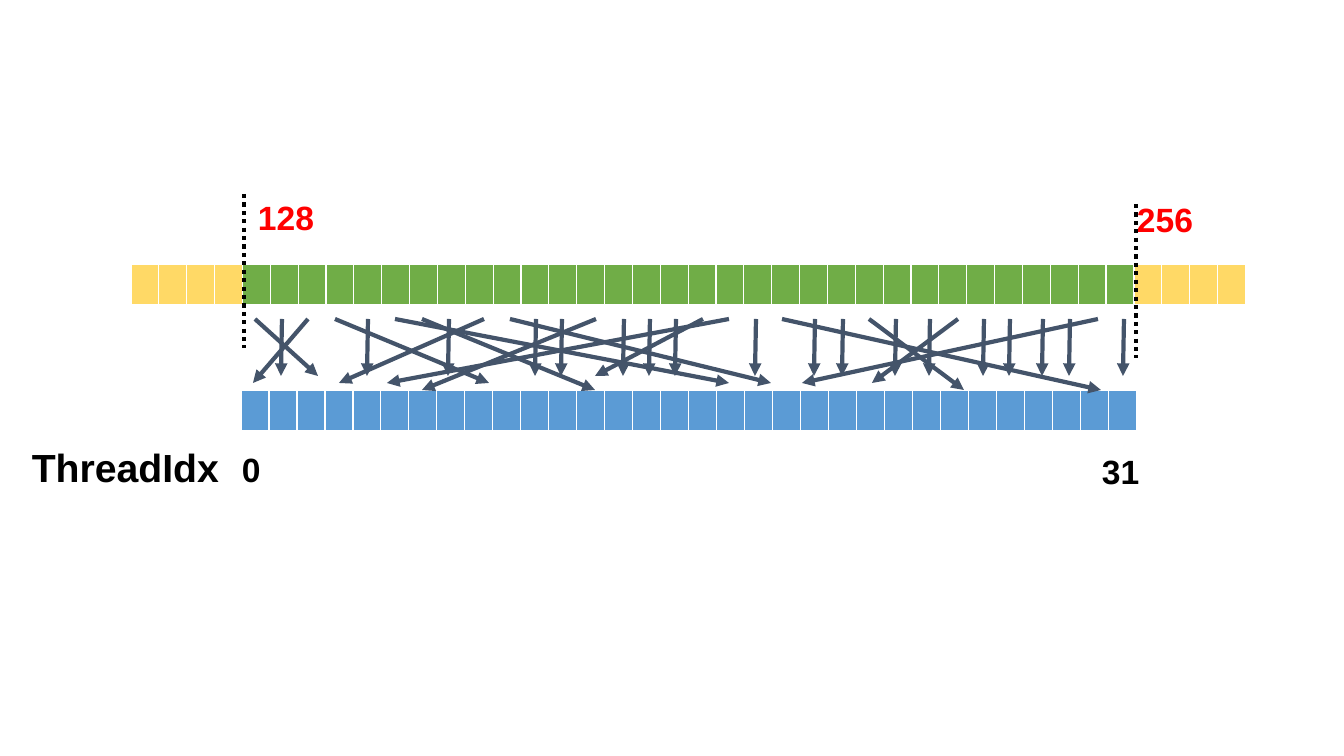
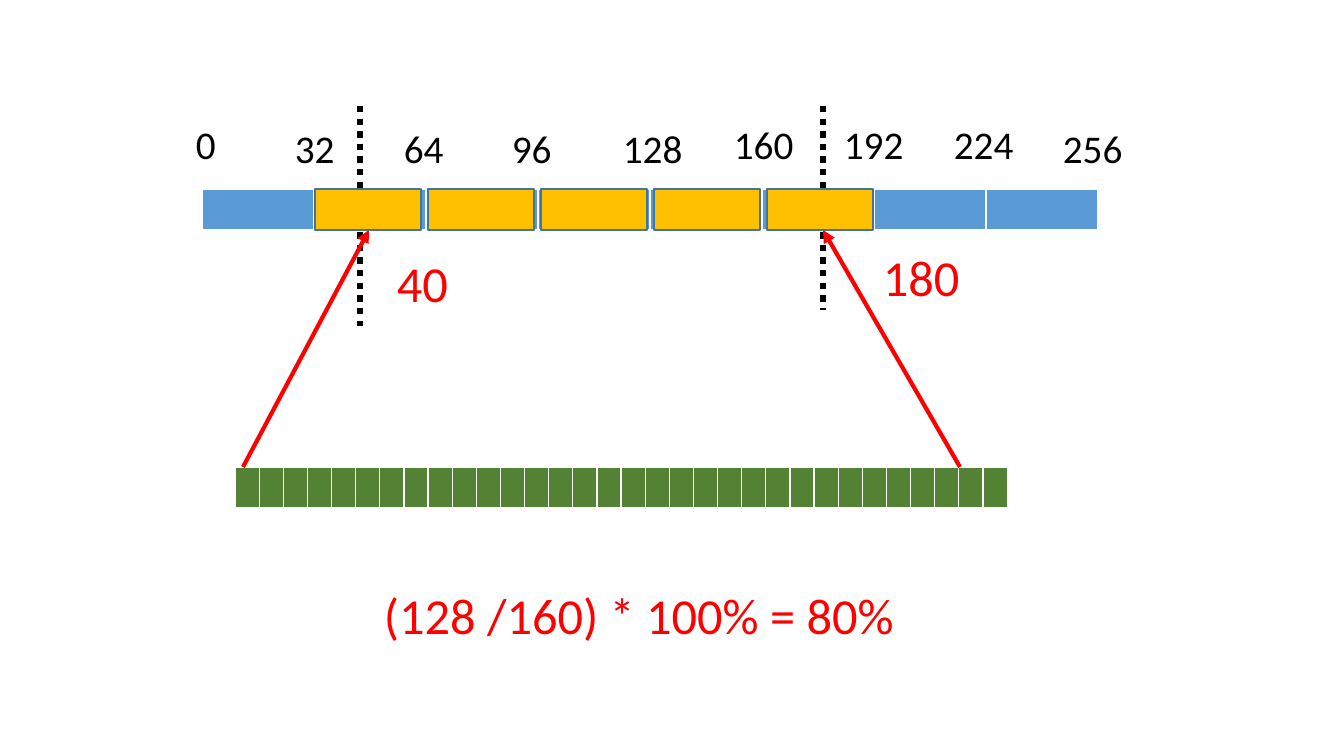
from dataclasses import dataclass

from lxml.etree import SubElement
from pptx import Presentation
from pptx.dml.color import RGBColor
from pptx.enum.dml import MSO_LINE_DASH_STYLE as Dash
from pptx.enum.shapes import MSO_CONNECTOR as Connector, MSO_SHAPE as Preset
from pptx.oxml.ns import qn
from pptx.slide import Slide
from pptx.util import Pt

EMU_PER_PX = 914400 / 100.8
STRIP_HEIGHT = 41

BLACK, RED, SLATE = "000000", "FF0000", "44546A"
BLUE, GREEN, DARK_GREEN = "5B9BD5", "70AD47", "548235"
YELLOW, AMBER, OUTLINE = "FFD966", "FFC000", "43739E"

ARROW_STARTS = [
    14, 41, 67, 94, 127, 154, 181, 208, 243, 269, 295, 321, 355, 383, 409, 435,
    462, 488, 515, 541, 574, 602, 628, 655, 689, 717, 743, 769, 802, 829, 857, 883,
]
# Arrow index -> tip; every other arrow points straight down.
CROSSING_TIPS = {
    0: (77, 57), 2: (12, 64), 3: (248, 64), 5: (488, 64), 6: (354, 71),
    8: (98, 64), 9: (530, 64), 12: (181, 71), 16: (354, 57), 17: (146, 64),
    19: (860, 71), 22: (723, 71), 25: (631, 64), 30: (561, 64),
}
ADDRESS_LABELS = [
    (-16, -74), (83, -70), (192, -70), (300, -70), (411, -70),
    (522, -74), (632, -74), (742, -74), (851, -70),
]


def px(length):
    return round(length * EMU_PER_PX)


def color(hex_string):
    return RGBColor.from_string(hex_string)


@dataclass
class Region:
    """Part of a slide; all positions are px from its top left corner."""

    slide: Slide
    left: int
    top: int

    def place(self, x, y):
        return px(self.left + x), px(self.top + y)

    def strip(self, width, fills):
        """Draw a one-row table with a cell for each fill."""
        table = self.slide.shapes.add_table(
            1, len(fills), *self.place(0, 0), px(width), px(STRIP_HEIGHT)
        ).table
        for column, cell, fill in zip(table.columns, table.rows[0].cells, fills):
            column.width = px(width / len(fills))
            cell.fill.solid()
            cell.fill.fore_color.rgb = color(fill)

    def label(self, text, x, y, width, size, ink=BLACK, font="Calibri", bold=False):
        shape = self.slide.shapes.add_textbox(*self.place(x, y), px(width), px(size * 2))
        shape.text_frame.word_wrap = True
        paragraph = shape.text_frame.paragraphs[0]
        paragraph.text = text
        paragraph.font.name = font
        paragraph.font.size = Pt(size)
        paragraph.font.bold = bold
        paragraph.font.color.rgb = color(ink)

    def line(self, start, end, ink, weight=3):
        connector = self.slide.shapes.add_connector(
            Connector.STRAIGHT, *self.place(*start), *self.place(*end)
        )
        connector.line.color.rgb = color(ink)
        connector.line.width = Pt(weight)
        SubElement(connector._element.spPr, qn("a:effectLst"))
        return connector.line

    def arrow(self, start, end, ink):
        line = self.line(start, end, ink)
        SubElement(line._get_or_add_ln(), qn("a:tailEnd"), type="triangle")

    def marker(self, x, top, bottom, weight):
        """Draw a dotted upright line."""
        self.line((x, top), (x, bottom), BLACK, weight).dash_style = Dash.ROUND_DOT

    def block(self, x, width):
        shape = self.slide.shapes.add_shape(
            Preset.RECTANGLE, *self.place(x, 0), px(width), px(STRIP_HEIGHT)
        )
        shape.shadow.inherit = False
        shape.fill.solid()
        shape.fill.fore_color.rgb = color(AMBER)
        shape.line.color.rgb = color(OUTLINE)
        shape.line.width = Pt(1)


def draw_threads(region):
    region.strip(896, [BLUE] * 32)
    for text, x, y, width, size in (
        ("ThreadIdx", -219, 48, 242, 28),
        ("0", -9, 54, 23, 24),
        ("31", 851, 56, 64, 24),
    ):
        region.label(text, x, y, width, size, font="Arial", bold=True)


def draw_memory(region):
    region.strip(1115, [YELLOW] * 4 + [GREEN] * 32 + [YELLOW] * 4)
    for text, x, y in (("128", 117, -72), ("256", 996, -70)):
        region.label(text, x, y, 119, 24, RED, "Arial", True)
    for x, top in ((113, -70), (1005, -60)):
        region.marker(x, top, top + 154, 3)


def draw_accesses(region):
    for index, x in enumerate(ARROW_STARTS):
        region.arrow((x, 0), CROSSING_TIPS.get(index, (x - 1, 57)), SLATE)


def draw_addresses(region):
    region.strip(896, [BLUE] * 8)
    for index, (x, y) in enumerate(ADDRESS_LABELS):
        region.label(str(32 * index), x, y, 88, 28)
    for x, bottom in ((158, 137), (621, 121)):
        region.marker(x, -83, bottom, 4.5)
    for start_x, end_x in ((41, 167), (758, 621)):
        region.arrow((start_x, 278), (end_x, STRIP_HEIGHT), RED)
    for text, x, y in (("180", 671, 52), ("40", 185, 58)):
        region.label(text, x, y, 173, 36, RED)
    for index in range(5):
        region.block(113 + 113 * index, 106)


def draw_warp(region):
    region.strip(735, [DARK_GREEN] * 32)
    region.label("(128 /160) * 100% = 80%", 139, 112, 597, 36, RED)


def main():
    presentation = Presentation()
    presentation.slide_width, presentation.slide_height = px(1344), px(756)
    blank = presentation.slide_layouts[6]

    slide = presentation.slides.add_slide(blank)
    draw_threads(Region(slide, 241, 390))
    draw_memory(Region(slide, 131, 264))
    draw_accesses(Region(slide, 241, 319))

    slide = presentation.slides.add_slide(blank)
    draw_warp(Region(slide, 235, 467))
    draw_addresses(Region(slide, 202, 189))

    presentation.save("out.pptx")


if __name__ == "__main__":
    main()
